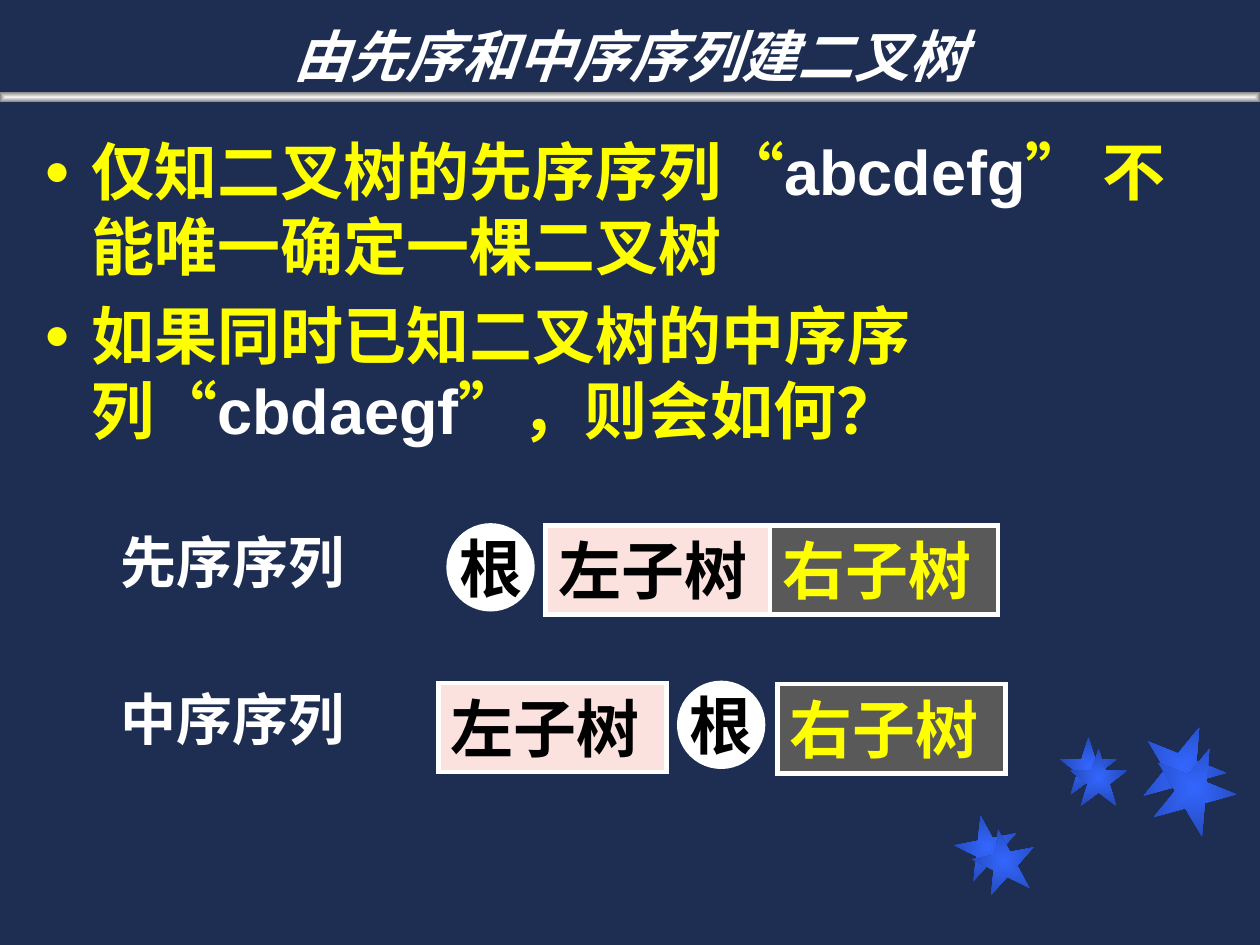
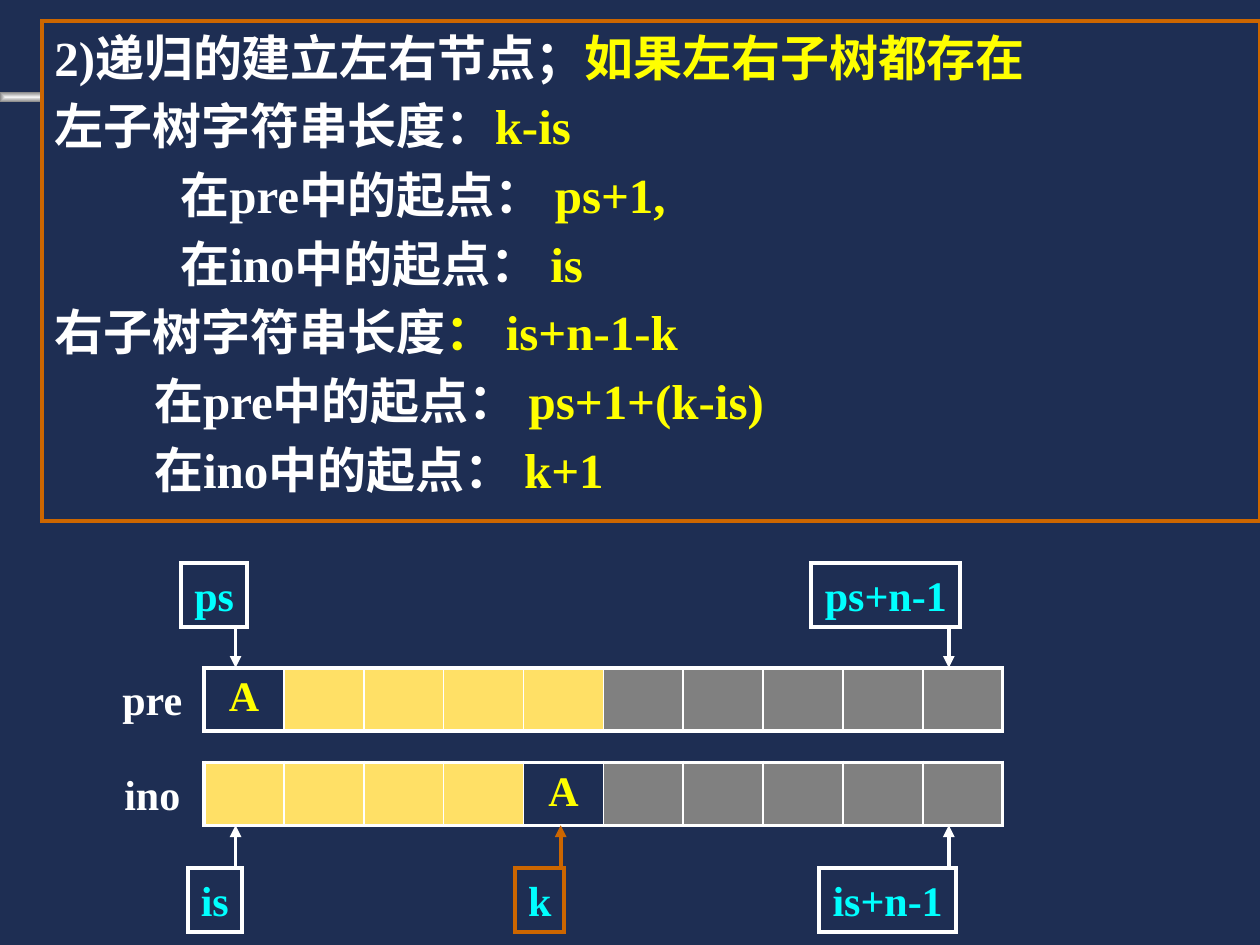
from lxml.etree import SubElement
from pptx import Presentation
from pptx.dml.color import RGBColor
from pptx.enum.shapes import MSO_CONNECTOR, MSO_SHAPE
from pptx.enum.text import MSO_ANCHOR, PP_ALIGN
from pptx.oxml.ns import qn
from pptx.util import Pt

NAVY = RGBColor(0x1E, 0x2E, 0x53)
WHITE = RGBColor(0xFF, 0xFF, 0xFF)
BLACK = RGBColor(0x00, 0x00, 0x00)
YELLOW = RGBColor(0xFF, 0xFF, 0x00)
CYAN = RGBColor(0x00, 0xFF, 0xFF)
ORANGE = RGBColor(0xCC, 0x66, 0x00)
PINK = RGBColor(0xFB, 0xE2, 0xDF)
DARK_GRAY = RGBColor(0x59, 0x59, 0x59)
GRAY = RGBColor(0x80, 0x80, 0x80)
GOLD = RGBColor(0xFF, 0xE0, 0x66)
SILVER = RGBColor(0xF2, 0xF2, 0xF2)
BLUE = RGBColor(0x33, 0x66, 0xFF)
DEEP_BLUE = RGBColor(0x24, 0x49, 0xB6)
SERIF, SANS, CJK = "Times New Roman", "Arial", "Noto Sans CJK SC"


def write(p, runs, size, font=SERIF, align=PP_ALIGN.LEFT):
    """Fill a paragraph with bold (text, colour) runs."""
    p.alignment = align
    for text, color in runs:
        r = p.add_run()
        r.text = text
        r.font.size, r.font.bold, r.font.name = Pt(size), True, font
        r.font.color.rgb = color
        SubElement(r._r.get_or_add_rPr(), qn("a:ea")).set("typeface", CJK)


def add_box(s, kind, at, fill=None, line=None, weight=2.25, wrap=True):
    """Add a preset shape; a pair of fill colours makes a radial gradient."""
    sp = s.shapes.add_shape(kind, *[Pt(v) for v in at])
    sp.shadow.inherit = False
    if fill is None:
        sp.fill.background()
    elif isinstance(fill, RGBColor):
        sp.fill.solid()
        sp.fill.fore_color.rgb = fill
    else:
        sp.fill.gradient()
        for stop, color in zip(sp.fill.gradient_stops, fill):
            stop.color.rgb = color
        grad = sp._element.spPr.find(qn("a:gradFill"))
        grad.remove(grad.find(qn("a:lin")))
        path = SubElement(grad, qn("a:path"), {"path": "shape"})
        SubElement(path, qn("a:fillToRect"), dict.fromkeys("ltrb", "50000"))
    if line is None:
        sp.line.fill.background()
    else:
        sp.line.color.rgb = line
        sp.line.width = Pt(weight)
        SubElement(sp.line._get_or_add_ln(), qn("a:miter")).set("lim", "800000")
    sp.text_frame.word_wrap = wrap
    sp.text_frame.vertical_anchor = MSO_ANCHOR.TOP
    return sp


prs = Presentation()
prs.slide_width, prs.slide_height = Pt(720), Pt(540)

# Shared background
bg = prs.slide_master.background.fill
bg.solid()
bg.fore_color.rgb = NAVY
slides = [prs.slides.add_slide(prs.slide_layouts[6]) for _ in range(2)]

# Slide 1: decorative stars, each cluster a pair
s = slides[0]
for size, angle, corners in [
    (36, 349, [(545.8, 465.8), (555.8, 473.8)]),
    (33, 0, [(605.5, 421.2), (611.3, 427.7)]),
    (48, 22, [(652.3, 414), (658.1, 426.2)]),
]:
    for left, top in corners:
        star = add_box(s, MSO_SHAPE.STAR_5_POINT, (left, top, size, size), (BLUE, DEEP_BLUE))
        star.rotation = angle

# Shared metal bar under the title
for slide in slides:
    add_box(slide, MSO_SHAPE.RECTANGLE, (0, 52.5, 720, 6), (SILVER, GRAY))

# Title
tf = s.shapes.add_textbox(0, 0, Pt(720), Pt(54)).text_frame
tf.word_wrap = True
tf.vertical_anchor = MSO_ANCHOR.BOTTOM
p = tf.paragraphs[0]
write(p, [("由先序和中序序列建二叉树", WHITE)], 32, CJK, PP_ALIGN.CENTER)
p.runs[0].font.italic = True

# Bulleted statements
tf = s.shapes.add_textbox(Pt(18), Pt(72), Pt(681), Pt(394.5)).text_frame
tf.word_wrap = True
statements = [
    [("仅知二叉树的先序序列“", YELLOW), ("abcdefg", WHITE), ("” 不能唯一确定一棵二叉树", YELLOW)],
    [("如果同时已知二叉树的中序序列“", YELLOW), ("cbdaegf", WHITE), ("”，则会如何？", YELLOW)],
]
for i, runs in enumerate(statements):
    p = tf.add_paragraph() if i else tf.paragraphs[0]
    pPr = p._p.get_or_add_pPr()
    pPr.set("marL", str(Pt(27)))
    pPr.set("indent", str(-Pt(27)))
    SubElement(SubElement(pPr, qn("a:buClr")), qn("a:srgbClr")).set("val", str(YELLOW))
    SubElement(pPr, qn("a:buSzPct")).set("val", "70000")
    SubElement(pPr, qn("a:buFont")).set("typeface", SANS)
    SubElement(pPr, qn("a:buChar")).set("char", "●")
    if i:
        p.space_before = Pt(7.2)
    write(p, runs, 36, SANS)

# Sequence labels
for text, top in [("先序序列", 293.8), ("中序序列", 383.8)]:
    tf = s.shapes.add_textbox(Pt(28.5), Pt(top), Pt(175.7), Pt(48)).text_frame
    tf.word_wrap = True
    tf.paragraphs[0].line_spacing = 1.1
    write(tf.paragraphs[0], [(text, WHITE)], 32, align=PP_ALIGN.RIGHT)

# Subtree blocks
for text, left, top, fill, color in [
    ("左子树", 250.5, 390.2, PINK, BLACK),
    ("左子树", 311.8, 300.2, PINK, BLACK),
    ("右子树", 440, 300.2, DARK_GRAY, YELLOW),
    ("右子树", 444.2, 391, DARK_GRAY, YELLOW),
]:
    sp = add_box(s, MSO_SHAPE.RECTANGLE, (left, top, 130.3, 51), fill, WHITE, 2.5)
    write(sp.text_frame.paragraphs[0], [(text, color)], 36)

# Root circles
for left, top in [(256.3, 300.2), (388.1, 390.2)]:
    sp = add_box(s, MSO_SHAPE.OVAL, (left, top, 48, 48), WHITE, WHITE, 2.5, wrap=False)
    sp.text_frame.vertical_anchor = MSO_ANCHOR.MIDDLE
    write(sp.text_frame.paragraphs[0], [("根", BLACK)], 36, align=PP_ALIGN.CENTER)

# Slide 2: panel with the recursion rules
s = slides[1]
add_box(s, MSO_SHAPE.RECTANGLE, (24, 12, 696, 528), NAVY)
tf = add_box(s, MSO_SHAPE.RECTANGLE, (24, 12, 696, 286), line=ORANGE).text_frame
rules = [
    (0, "2)递归的建立左右节点；", "如果左右子树都存在"),
    (0, "左子树字符串长度：", "k-is"),
    (72, "在pre中的起点： ", "ps+1,"),
    (72, "在ino中的起点： ", "is"),
    (0, "右子树字符串长度", "： is+n-1-k"),
    (57, "在pre中的起点： ", "ps+1+(k-is)"),
    (57, "在ino中的起点： ", "k+1"),
]
for i, (indent, label, value) in enumerate(rules):
    p = tf.add_paragraph() if i else tf.paragraphs[0]
    p._p.get_or_add_pPr().set("marL", str(Pt(indent)))
    if i:
        p.space_before = Pt(5.6)
    write(p, [(label, WHITE), (value, YELLOW)], 28)

# Arrays: left subtree in gold, right subtree in gray, root A between
COUNT, LEFT_END = 10, 5
for name, top, root in [("pre", 381.6, 0), ("ino", 435.6, 4)]:
    frame = s.shapes.add_table(1, COUNT, Pt(116.6), Pt(top), Pt(456.5), Pt(36))
    table = frame.table
    table.first_row = table.horz_banding = False
    for i in range(COUNT):
        table.columns[i].width = Pt(45.65)
        cell = table.cell(0, i)
        tcPr = cell._tc.get_or_add_tcPr()
        weights = {
            "a:lnL": 1 if i else 2.25,
            "a:lnR": 1 if i < COUNT - 1 else 2.25,
            "a:lnT": 2.25,
            "a:lnB": 2.25,
        }
        for tag, weight in weights.items():
            ln = SubElement(tcPr, qn(tag), {"w": str(Pt(weight))})
            solid = SubElement(ln, qn("a:solidFill"))
            SubElement(solid, qn("a:srgbClr")).set("val", str(WHITE))
        if i == root:
            cell.fill.background()
            write(cell.text_frame.paragraphs[0], [("A", YELLOW)], 24, align=PP_ALIGN.CENTER)
        else:
            cell.fill.solid()
            cell.fill.fore_color.rgb = GOLD if i < LEFT_END else GRAY
    tf = s.shapes.add_textbox(Pt(57), Pt(top), Pt(60), Pt(36)).text_frame
    tf.word_wrap = False
    write(tf.paragraphs[0], [(name, WHITE)], 24, align=PP_ALIGN.CENTER)

# Index boxes, each with an arrow to its array cell
ABOVE, BELOW = (321.8, 358, 381.6), (496, 496, 471.6)
for text, left, width, x, (top, start, end), fill, color in [
    ("ps", 103.7, 37.4, 134.6, ABOVE, None, WHITE),
    ("ps+n-1", 463.7, 85, 542.2, ABOVE, None, WHITE),
    ("is", 107.3, 31, 134.6, BELOW, NAVY, WHITE),
    ("is+n-1", 468, 78.5, 542.2, BELOW, NAVY, WHITE),
    ("k", 294.5, 28, 320.4, BELOW, NAVY, ORANGE),
]:
    sp = add_box(s, MSO_SHAPE.RECTANGLE, (left, top, width, 36.7), fill, color, wrap=False)
    write(sp.text_frame.paragraphs[0], [(text, CYAN)], 24, align=PP_ALIGN.CENTER)
    arrow = s.shapes.add_connector(MSO_CONNECTOR.STRAIGHT, Pt(x), Pt(start), Pt(x), Pt(end))
    arrow.line.color.rgb = color
    arrow.line.width = Pt(2.25)
    SubElement(arrow.line._get_or_add_ln(), qn("a:tailEnd")).set("type", "triangle")
    SubElement(arrow._element.spPr, qn("a:effectLst"))

prs.save("out.pptx")
